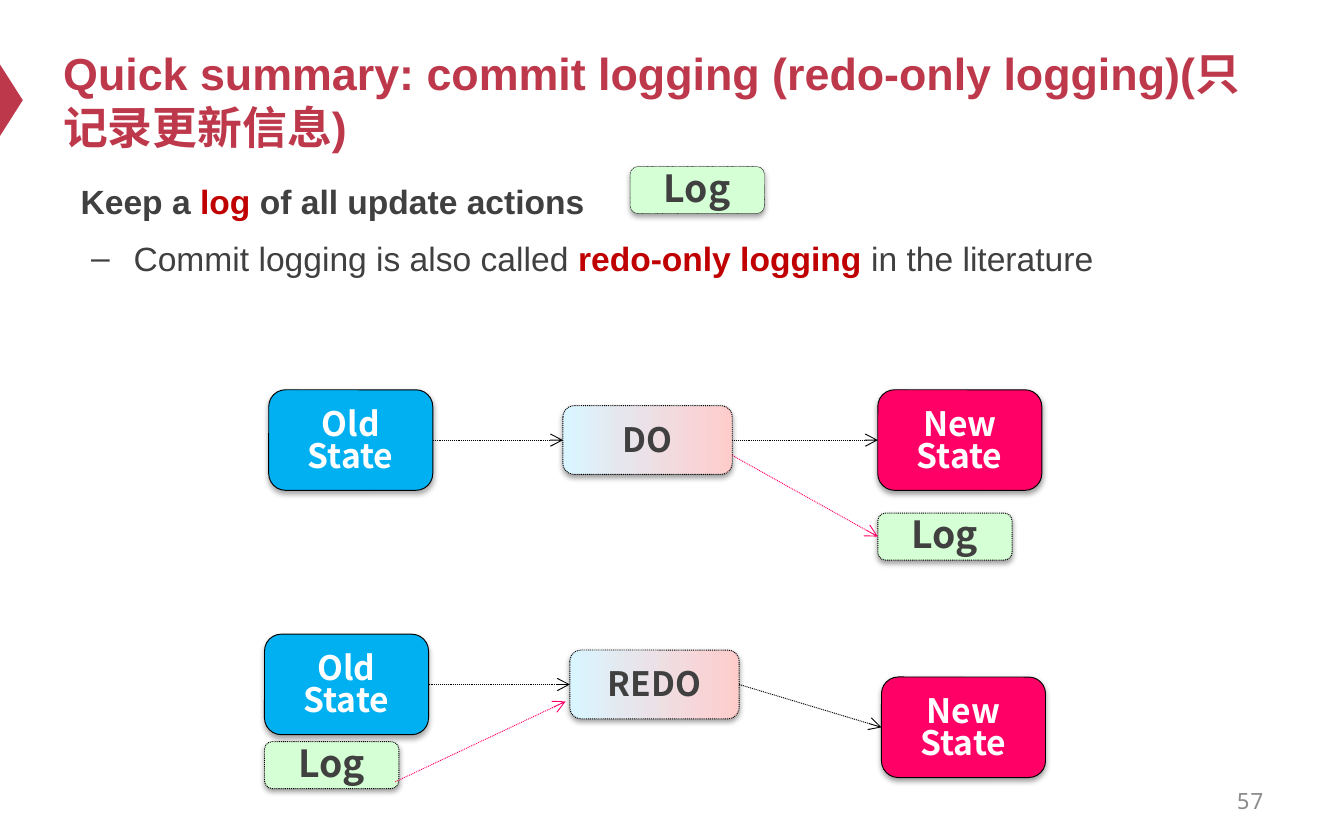
from dataclasses import dataclass

import lxml.etree as etree
import pptx
import pptx.dml.color
import pptx.enum.dml
import pptx.enum.shapes
import pptx.enum.text
import pptx.oxml.ns
import pptx.util

Cm = pptx.util.Cm
Pt = pptx.util.Pt
qn = pptx.oxml.ns.qn
SHAPE = pptx.enum.shapes.MSO_SHAPE
ALIGN = pptx.enum.text.PP_ALIGN
ANCHOR = pptx.enum.text.MSO_ANCHOR
DOTS = pptx.enum.dml.MSO_LINE.ROUND_DOT

HEX = {
    "brand": "BE384B", "text": "404040", "mark": "C00000", "page": "8C8C8C",
    "black": "000000", "white": "FFFFFF", "old": "00B0F0", "new": "FF0066",
    "log": "D5FFD5", "cool": "D9F5FF", "warm": "FFCCCC",
}
CJK = "Noto Sans CJK SC"
RIGHT, LEFT = 3, 1


@dataclass
class Kind:
    width: float
    height: float
    fills: tuple[str, ...]
    ink: str = "text"
    size: int = 18
    space: float = 0.8
    dots: bool = True
    top: float = 0.1
    base: float = 0
    alpha: int = 38
    drop: float = 1.6


LOG = Kind(2.54, 0.89, ("log",), size=20, space=1.0, top=0, base=0.1)
ACT = Kind(3.2, 1.3, ("cool", "warm"))
OLD = Kind(3.1, 1.9, ("old",), ink="white", dots=False, alpha=35, drop=1.8)
NEW = Kind(3.1, 1.9, ("new",), ink="white", dots=False)


@dataclass
class Box:
    kind: Kind
    text: str
    left: float
    top: float
    edge: float = 0.5


@dataclass
class Link:
    start: str | tuple[float, float]  # box name or free point
    end: str | tuple[float, float]
    ink: str = "black"


BOXES = {
    "key": Box(LOG, "Log", 11.91, 3.15, 0.25),
    "do": Box(ACT, "DO", 10.64, 7.67),
    "do new": Box(NEW, "New\nState", 16.59, 7.37),
    "do old": Box(OLD, "Old\nState", 5.08, 7.37),
    "do log": Box(LOG, "Log", 16.59, 9.7),
    "redo": Box(ACT, "REDO", 10.77, 12.29),
    "redo new": Box(NEW, "New\nState", 16.66, 12.8),
    "redo old": Box(OLD, "Old\nState", 5, 11.99),
    "redo log": Box(LOG, "Log", 5, 14.02),
}
LINKS = [
    Link("do old", "do"),
    Link("do", "do new"),
    Link((13.84, 8.61), "do log", "new"),
    Link("redo old", "redo"),
    Link("redo", "redo new"),
    Link((7.47, 14.78), (10.69, 13.26), "new"),
]


def rgb(name: str):
    return pptx.dml.color.RGBColor.from_string(HEX[name])


def place(shape, left: float, top: float, width: float, height: float) -> None:
    shape.left, shape.top = Cm(left), Cm(top)
    shape.width, shape.height = Cm(width), Cm(height)


def style(font, name: str, size: int, ink: str, bold: bool = False) -> None:
    font.name, font.size, font.bold = name, Pt(size), bold
    font.color.rgb = rgb(ink)


def paint(fill, names: tuple[str, ...]) -> None:
    if len(names) == 1:
        fill.solid()
        fill.fore_color.rgb = rgb(names[0])
        return
    fill.gradient()
    fill.gradient_angle = 0
    for stop, name in zip(fill.gradient_stops, names):
        stop.color.rgb = rgb(name)


def shade(shape, kind: Kind) -> None:
    shape.shadow.inherit = False
    effect = shape._element.spPr.find(qn("a:effectLst"))
    outer = etree.SubElement(
        effect, qn("a:outerShdw"), blurRad=str(Pt(3.1)),
        dist=str(Pt(kind.drop)), dir="5400000", rotWithShape="0")
    color = etree.SubElement(outer, qn("a:srgbClr"), val=HEX["black"])
    etree.SubElement(color, qn("a:alpha"), val=str(kind.alpha * 1000))


def draw_box(shapes, box: Box):
    kind = box.kind
    shape = shapes.add_shape(
        SHAPE.ROUNDED_RECTANGLE, Cm(box.left), Cm(box.top),
        Cm(kind.width), Cm(kind.height))
    paint(shape.fill, kind.fills)
    shape.line.color.rgb = rgb("black")
    shape.line.width = Pt(box.edge)
    if kind.dots:
        shape.line.dash_style = DOTS
    shade(shape, kind)
    frame = shape.text_frame
    frame.word_wrap = False
    frame.vertical_anchor = ANCHOR.MIDDLE
    frame.margin_left = frame.margin_right = 0
    frame.margin_top, frame.margin_bottom = Cm(kind.top), Cm(kind.base)
    frame.text = box.text
    for para in frame.paragraphs:
        para.alignment = ALIGN.CENTER
        para.line_spacing = kind.space
        style(para.font, CJK, kind.size, kind.ink, True)
    return shape


def draw_link(shapes, link: Link, drawn: dict) -> None:
    line = shapes.add_connector(
        pptx.enum.shapes.MSO_CONNECTOR.STRAIGHT, 0, 0, 0, 0)
    if isinstance(link.start, str):
        line.begin_connect(drawn[link.start], RIGHT)
    else:
        line.begin_x, line.begin_y = map(Cm, link.start)
    if isinstance(link.end, str):
        line.end_connect(drawn[link.end], LEFT)
    else:
        line.end_x, line.end_y = map(Cm, link.end)
    line.line.color.rgb = rgb(link.ink)
    line.line.width = Pt(0.5)
    line.line.dash_style = DOTS
    props = line._element.spPr
    etree.SubElement(props.find(qn("a:ln")), qn("a:tailEnd"), type="arrow")
    etree.SubElement(props, qn("a:effectLst"))


def write_item(para, parts: list, bullet: str = "") -> None:
    props = para._p.get_or_add_pPr()
    props.set("marL", str(Cm(1) if bullet else 0))
    props.set("indent", str(Cm(-0.8) if bullet else 0))
    if bullet:
        etree.SubElement(props, qn("a:buChar"), char=bullet)
    else:
        etree.SubElement(props, qn("a:buNone"))
    para.line_spacing = 1.2
    para.font.name, para.font.size = "Arial", Pt(18)
    for text, ink, bold in parts:
        run = para.add_run()
        run.text = text
        run.font.bold = bold
        run.font.color.rgb = rgb(ink)


def main() -> None:
    deck = pptx.Presentation()
    deck.slide_width, deck.slide_height = Cm(25.4), Cm(15.88)
    slide = deck.slides.add_slide(deck.slide_layouts[1])
    shapes = slide.shapes

    # Edge marker
    mark = shapes.add_shape(
        SHAPE.ISOSCELES_TRIANGLE, Cm(-0.46), Cm(1.68), Cm(1.35), Cm(0.43))
    mark.rotation = 90
    paint(mark.fill, ("brand",))
    mark.line.fill.background()
    mark.shadow.inherit = False

    # Title
    title = shapes.title
    place(title, 0.94, 0.64, 22.86, 2.49)
    frame = title.text_frame
    frame.text = "Quick summary: commit logging (redo-only logging)(只记录更新信息)"
    frame.auto_size = pptx.enum.text.MSO_AUTO_SIZE.NONE
    frame.vertical_anchor = ANCHOR.MIDDLE
    para = frame.paragraphs[0]
    para.alignment = ALIGN.LEFT
    style(para.font, "Arial", 24, "brand", True)

    # Body list
    body = slide.placeholders[1]
    place(body, 1.27, 3.15, 22.86, 3.61)
    frame = body.text_frame
    frame.auto_size = pptx.enum.text.MSO_AUTO_SIZE.NONE
    para = frame.paragraphs[0]
    write_item(para, [("Keep a ", "text", True), ("log", "mark", True),
                      (" of all update actions", "text", True)])
    para.space_before = Pt(0)
    para = frame.add_paragraph()
    para.level = 1
    write_item(para, [("Commit logging is also called ", "text", False),
                      ("redo-only logging", "mark", True),
                      (" in the literature", "text", False)], "–")
    para.space_before = Pt(4.5)

    # Page number
    page = shapes.add_textbox(Cm(18.21), Cm(14.71), Cm(5.92), Cm(0.84))
    frame = page.text_frame
    frame.word_wrap = True
    frame.vertical_anchor = ANCHOR.MIDDLE
    frame.text = "57"
    para = frame.paragraphs[0]
    para.alignment = ALIGN.RIGHT
    style(para.font, "Noto Sans Mono", 12, "page")

    # Diagrams
    drawn = {name: draw_box(shapes, box) for name, box in BOXES.items()}
    for link in LINKS:
        draw_link(shapes, link, drawn)

    deck.save("out.pptx")


if __name__ == "__main__":
    main()
